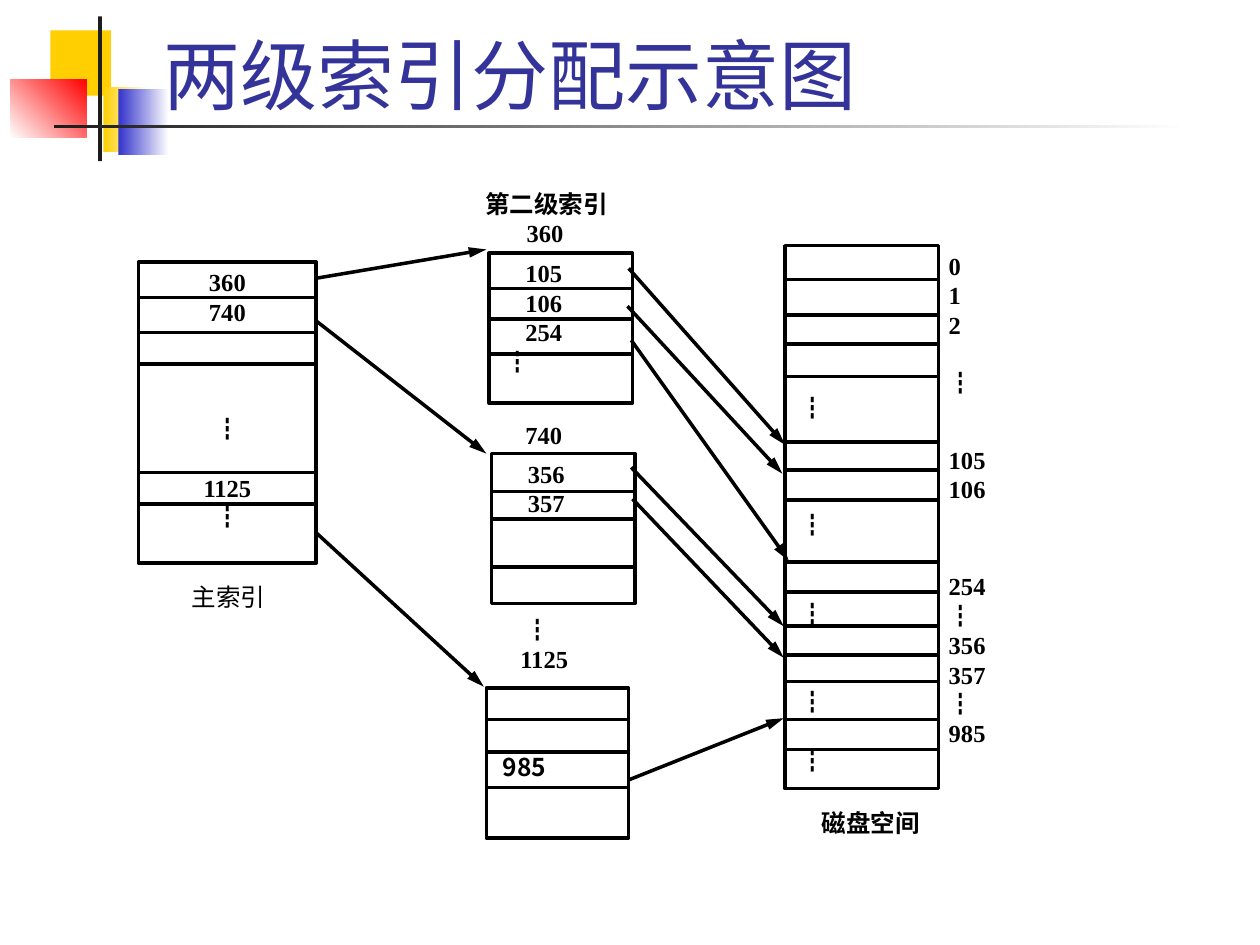
"""Build a slide showing two-level indexed allocation of disk space."""
from dataclasses import dataclass

from lxml.etree import SubElement
from pptx import Presentation
from pptx.dml.color import RGBColor
from pptx.enum.shapes import MSO_CONNECTOR as Connector, MSO_SHAPE as Preset
from pptx.enum.text import MSO_ANCHOR as Anchor, MSO_AUTO_SIZE as AutoSize, PP_ALIGN as Align
from pptx.oxml.ns import qn
from pptx.shapes.connector import Connector as Line
from pptx.slide import Slide
from pptx.text.text import Font, TextFrame
from pptx.util import Inches, Pt

BLACK = RGBColor(0x00, 0x00, 0x00)
WHITE = RGBColor(0xFF, 0xFF, 0xFF)
CHARCOAL = RGBColor(0x1C, 0x1C, 0x1C)
YELLOW = RGBColor(0xFF, 0xCF, 0x01)
BLUE = RGBColor(0x33, 0x33, 0xCC)
RED = RGBColor(0xFF, 0x00, 0x00)
NAVY = RGBColor(0x33, 0x33, 0x99)
SERIF = "Times New Roman"
CJK = "Noto Sans CJK SC"
DOTS = "┇"
ROW_PITCH = 16.8


@dataclass(frozen=True)
class Entry:
    text: str
    skip: float = 0
    indent: float = 0
    bold: bool = True
    latin: str = SERIF


@dataclass(frozen=True)
class Area:
    left: float
    top: float
    width: float
    height: float

    def lengths(self) -> list[int]:
        return [Inches(v) for v in (self.left, self.top, self.width, self.height)]


@dataclass(frozen=True)
class Block:
    area: Area
    entries: list[Entry]
    dividers: list[float]
    align: Align = Align.JUSTIFY
    inset: float = 0.04


@dataclass(frozen=True)
class Label:
    area: Area
    entries: list[Entry]


@dataclass(frozen=True)
class Ornament:
    area: Area
    start: RGBColor
    end: RGBColor
    angle: float = 0


def dots(skip: float = 0, indent: float = 0, bold: bool = True) -> Entry:
    return Entry(DOTS, skip, indent, bold, CJK)


ORNAMENTS = [
    Ornament(Area(0.4, 0.24, 0.48, 0.52), YELLOW, YELLOW),
    Ornament(Area(0.82, 0.69, 0.36, 0.52), YELLOW, WHITE),
    Ornament(Area(0.94, 0.71, 0.4, 0.52), BLUE, WHITE),
    Ornament(Area(0.08, 0.63, 0.61, 0.46), WHITE, RED, 45),
    Ornament(Area(0.78, 0.13, 0.03, 1.15), CHARCOAL, CHARCOAL),
    Ornament(Area(0.43, 0.99, 9, 0.03), CHARCOAL, WHITE),
]

BLOCKS = [
    Block(Area(6.23, 1.95, 1.22, 4.31),
          [dots(skip, 0.12, False) for skip in (5, 3, 2, 2, 1)],
          [2.22, 2.5, 2.73, 2.99, 3.51, 3.73, 3.97, 4.46, 4.7, 4.97, 5.2, 5.41, 5.71, 5.95],
          inset=0),
    Block(Area(1.1, 2.08, 1.41, 2.39),
          [Entry("360"), Entry("740"), dots(3), Entry("1125", 1), dots()],
          [2.36, 2.64, 2.89, 3.75, 4], Align.CENTER),
    Block(Area(3.88, 2.01, 1.14, 1.19),
          [*(Entry(number, indent=0.29) for number in ("105", "106", "254")), dots(indent=0.13)],
          [2.29, 2.53, 2.81]),
    Block(Area(3.9, 3.6, 1.14, 1.19),
          [Entry(number, indent=0.29) for number in ("356", "357")],
          [3.9, 4.12, 4.5]),
    Block(Area(3.86, 5.46, 1.13, 1.19),
          [Entry("985", 2, 0.13, latin=CJK)], [5.71, 5.97, 6.25]),
]

LABELS = [
    Label(Area(3.85, 1.5, 1.24, 0.29), [Entry("第二级索引")]),
    Label(Area(6.52, 6.41, 1, 0.26), [Entry("磁盘空间")]),
    Label(Area(1.52, 4.62, 0.78, 0.29), [Entry("主索引", bold=False)]),
    Label(Area(4.18, 1.73, 0.53, 0.27), [Entry("360")]),
    Label(Area(4.17, 3.33, 0.57, 0.27), [Entry("740")]),
    Label(Area(4.13, 4.88, 0.72, 0.49), [dots(indent=0.04), Entry("1125")]),
    Label(Area(7.53, 1.99, 0.47, 4.01),
          [Entry("0"), Entry("1"), Entry("2"), dots(1), Entry("105", 1.6), Entry("106"),
           Entry("254", 2.3), dots(), Entry("356"), Entry("357"), dots(), Entry("985")]),
]

POINTERS = [
    (2.5, 2.21, 3.86, 1.98), (2.5, 2.54, 3.86, 3.6), (2.5, 4.22, 3.84, 5.45),
    (4.99, 2.13, 6.23, 3.53), (4.98, 2.43, 6.21, 3.76), (5.01, 2.7, 6.26, 4.45),
    (5.01, 3.71, 6.22, 4.97), (5.02, 3.96, 6.22, 5.22), (4.99, 6.19, 6.22, 5.7),
]


def style_font(font: Font, latin: str, size: float, color: RGBColor, bold: bool) -> None:
    font.name, font.size, font.bold = latin, Pt(size), bold
    font.color.rgb = color
    SubElement(font._element, qn("a:ea")).set("typeface", CJK)


def write_entries(frame: TextFrame, entries: list[Entry], align: Align, inset: float) -> None:
    frame.word_wrap = True
    frame.vertical_anchor = Anchor.TOP
    frame.margin_left = frame.margin_right = frame.margin_bottom = 0
    frame.margin_top = Inches(inset) + Pt(entries[0].skip * ROW_PITCH)
    frame.text = "\n".join(entry.text for entry in entries)
    for position, (paragraph, entry) in enumerate(zip(frame.paragraphs, entries)):
        paragraph.alignment = align
        paragraph.line_spacing = Pt(ROW_PITCH)
        if position:
            paragraph.space_before = Pt(entry.skip * ROW_PITCH)
        paragraph._p.get_or_add_pPr().set("marL", str(Inches(entry.indent)))
        style_font(paragraph.runs[0].font, entry.latin, 14, BLACK, entry.bold)


def draw_ornament(slide: Slide, ornament: Ornament) -> None:
    patch = slide.shapes.add_shape(Preset.RECTANGLE, *ornament.area.lengths())
    patch.shadow.inherit = False
    patch.line.fill.background()
    if ornament.start == ornament.end:
        patch.fill.solid()
        patch.fill.fore_color.rgb = ornament.start
        return
    patch.fill.gradient()
    patch.fill.gradient_angle = ornament.angle
    for stop, color, place in zip(patch.fill.gradient_stops, (ornament.start, ornament.end), (0, 1)):
        stop.color.rgb = color
        stop.position = place


def draw_line(slide: Slide, x1: float, y1: float, x2: float, y2: float) -> Line:
    line = slide.shapes.add_connector(Connector.STRAIGHT, *(Inches(v) for v in (x1, y1, x2, y2)))
    line.line.color.rgb = BLACK
    line.line.width = Pt(2)
    SubElement(line._element.spPr, qn("a:effectLst"))
    return line


def draw_pointer(slide: Slide, x1: float, y1: float, x2: float, y2: float) -> None:
    head = SubElement(draw_line(slide, x1, y1, x2, y2).line._get_or_add_ln(), qn("a:tailEnd"))
    for key, value in (("type", "triangle"), ("w", "med"), ("len", "lg")):
        head.set(key, value)


def draw_block(slide: Slide, block: Block) -> None:
    table = slide.shapes.add_shape(Preset.RECTANGLE, *block.area.lengths())
    table.shadow.inherit = False
    table.fill.solid()
    table.fill.fore_color.rgb = WHITE
    table.line.color.rgb = BLACK
    table.line.width = Pt(2)
    write_entries(table.text_frame, block.entries, block.align, block.inset)
    for y in block.dividers:
        draw_line(slide, block.area.left, y, block.area.left + block.area.width, y)


def draw_label(slide: Slide, label: Label) -> None:
    caption = slide.shapes.add_textbox(*label.area.lengths())
    write_entries(caption.text_frame, label.entries, Align.JUSTIFY, 0)


def write_title(slide: Slide, text: str) -> None:
    heading = slide.shapes.title
    heading.left, heading.top, heading.width, heading.height = Area(1.2, 0.17, 8.52, 0.83).lengths()
    frame = heading.text_frame
    frame.text = text
    frame.auto_size = AutoSize.NONE
    frame.vertical_anchor = Anchor.BOTTOM
    frame.paragraphs[0].alignment = Align.LEFT
    style_font(frame.paragraphs[0].runs[0].font, "Cabin", 44, NAVY, False)


def main() -> None:
    deck = Presentation()
    deck.slide_width, deck.slide_height = Inches(10), Inches(7.5)
    slide = deck.slides.add_slide(deck.slide_layouts[5])
    write_title(slide, "两级索引分配示意图")
    for ornament in ORNAMENTS:
        draw_ornament(slide, ornament)
    for block in BLOCKS:
        draw_block(slide, block)
    for label in LABELS:
        draw_label(slide, label)
    for pointer in POINTERS:
        draw_pointer(slide, *pointer)
    deck.save("out.pptx")


if __name__ == "__main__":
    main()
